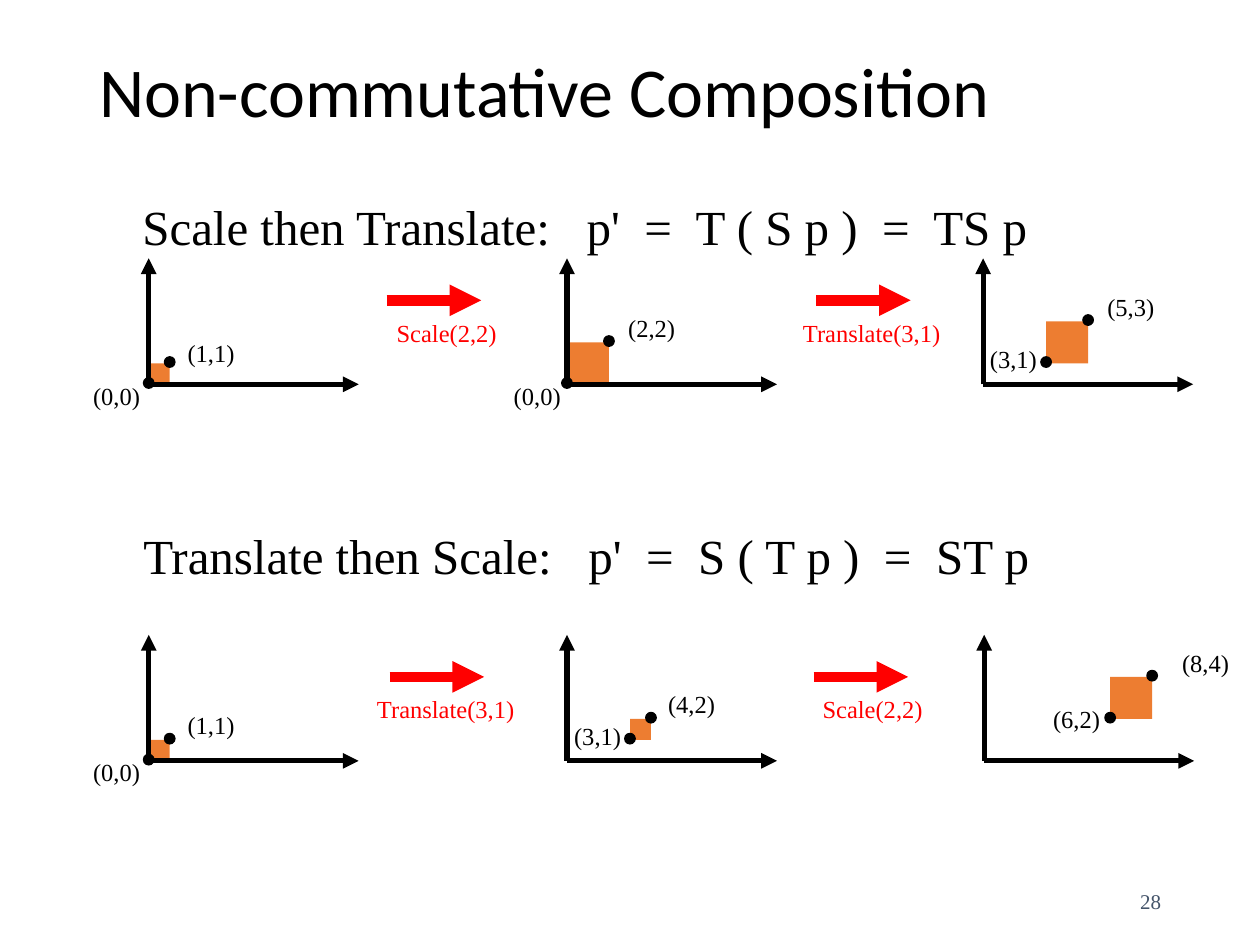
from dataclasses import dataclass

from lxml import etree
from pptx import Presentation
from pptx.dml.color import RGBColor
from pptx.enum.shapes import MSO_CONNECTOR, MSO_SHAPE
from pptx.enum.text import MSO_ANCHOR, PP_ALIGN
from pptx.oxml.ns import qn
from pptx.shapes.base import BaseShape
from pptx.slide import Slide
from pptx.text.text import TextFrame
from pptx.util import Pt

STRAIGHT = MSO_CONNECTOR.STRAIGHT
RECTANGLE, OVAL = MSO_SHAPE.RECTANGLE, MSO_SHAPE.OVAL
TOP, MIDDLE = MSO_ANCHOR.TOP, MSO_ANCHOR.MIDDLE
LEFT, CENTER, RIGHT = PP_ALIGN.LEFT, PP_ALIGN.CENTER, PP_ALIGN.RIGHT


@dataclass(frozen=True)
class Theme:
    ink: RGBColor = RGBColor(0, 0, 0)
    square: RGBColor = RGBColor(0xED, 0x7D, 0x31)
    step: RGBColor = RGBColor(0xFF, 0, 0)
    number: RGBColor = RGBColor(0x44, 0x54, 0x6A)
    title_font: str = "Calibri"
    text_font: str = "Times New Roman"
    title_size: int = 40
    heading_size: int = 28
    label_size: int = 14
    number_size: int = 12


@dataclass(frozen=True)
class Label:
    left: float
    top: float
    width: float = 46.8


@dataclass(frozen=True)
class Plot:
    origin_x: float
    corner: tuple[int, int]
    side: int
    low_label: Label
    high_label: Label


@dataclass(frozen=True)
class Step:
    text: str
    arrow_left: float
    label: Label


@dataclass(frozen=True)
class Row:
    heading: str
    heading_left: float
    heading_top: float
    origin_y: float
    plots: tuple[Plot, ...]
    steps: tuple[Step, ...]


THEME = Theme()
UNIT = 12
DOT = 6
DOT_LIFT = 0.7
AXIS_WIDTH, AXIS_HEIGHT = 120, 72
ARROW_LENGTH, ARROW_RISE = 54, 48
LABEL_HEIGHT, HEADING_HEIGHT, HEADING_WIDTH = 24.3, 41.2, 526

ROWS = (
    Row("Scale then Translate:   p'  =  T ( S p )  =  TS p", 71.2, 108.9, 219.6,
        (Plot(85, (0, 0), 1, Label(43.2, 214), Label(97.2, 189.6)),
         Plot(324, (0, 0), 2, Label(283.6, 214), Label(349, 175.2)),
         Plot(561.8, (3, 1), 2, Label(555.7, 193), Label(622.8, 163.4))),
        (Step("Scale(2,2)", 221, Label(211, 178, 88.6)),
         Step("Translate(3,1)", 466.4, Label(442, 178, 112.3)))),
    Row("Translate then Scale:   p'  =  S ( T p )  =  ST p", 72, 296.6, 434.8,
        (Plot(85, (0, 0), 1, Label(43.2, 429), Label(97.2, 402.2)),
         Plot(324, (3, 1), 1, Label(318.1, 408.5), Label(371.8, 390.2)),
         Plot(562.4, (6, 2), 2, Label(591.8, 398.9), Label(659, 366.6, 59.8))),
        (Step("Translate(3,1)", 222.6, Label(198.6, 393, 112.3)),
         Step("Scale(2,2)", 465, Label(454.4, 393, 88.6)))),
)


def write(frame: TextFrame, text: str, font: str, size: int, color: RGBColor,
          align: PP_ALIGN, anchor: MSO_ANCHOR = TOP) -> None:
    frame.text = text
    frame.word_wrap = True
    frame.vertical_anchor = anchor
    para = frame.paragraphs[0]
    para.alignment = align
    for span in para.runs:
        span.font.name = font
        span.font.size = Pt(size)
        span.font.color.rgb = color


def place(box: BaseShape, left: float, top: float, width: float, height: float) -> None:
    box.left, box.top, box.width, box.height = map(Pt, (left, top, width, height))


def add_text(page: Slide, text: str, area: tuple[float, float, float, float], size: int,
             color: RGBColor, align: PP_ALIGN = CENTER, anchor: MSO_ANCHOR = TOP) -> None:
    box = page.shapes.add_textbox(*map(Pt, area))
    write(box.text_frame, text, THEME.text_font, size, color, align, anchor)


def add_label(page: Slide, text: str, label: Label, color: RGBColor) -> None:
    area = (label.left, label.top, label.width, LABEL_HEIGHT)
    add_text(page, text, area, THEME.label_size, color)


def add_solid(page: Slide, kind: MSO_SHAPE, left: float, top: float, side: float,
              color: RGBColor, outline: float = 0) -> None:
    solid = page.shapes.add_shape(kind, Pt(left), Pt(top), Pt(side), Pt(side))
    solid.shadow.inherit = False
    solid.fill.solid()
    solid.fill.fore_color.rgb = color
    if outline:
        solid.line.color.rgb = color
        solid.line.width = Pt(outline)
    else:
        solid.line.fill.background()


def add_arrow(page: Slide, start: tuple[float, float], end: tuple[float, float],
              width: float, color: RGBColor) -> None:
    arrow = page.shapes.add_connector(STRAIGHT, *map(Pt, (*start, *end)))
    arrow.line.color.rgb = color
    arrow.line.width = Pt(width)
    etree.SubElement(arrow.line._get_or_add_ln(), qn("a:tailEnd"), type="triangle")
    etree.SubElement(arrow._element.spPr, qn("a:effectLst"))


def draw_plot(page: Slide, plot: Plot, origin_y: float) -> None:
    low_x, low_y = plot.corner
    high_x, high_y = low_x + plot.side, low_y + plot.side
    origin = (plot.origin_x, origin_y)
    add_solid(page, RECTANGLE, plot.origin_x + low_x * UNIT, origin_y - high_y * UNIT,
              plot.side * UNIT, THEME.square)
    for end in ((plot.origin_x, origin_y - AXIS_HEIGHT),
                (plot.origin_x + AXIS_WIDTH, origin_y)):
        add_arrow(page, origin, end, 3, THEME.ink)
    for x, y, label in ((low_x, low_y, plot.low_label), (high_x, high_y, plot.high_label)):
        add_solid(page, OVAL, plot.origin_x + x * UNIT - DOT / 2,
                  origin_y - y * UNIT - DOT / 2 - DOT_LIFT, DOT, THEME.ink, 0.75)
        add_label(page, f"({x},{y})", label, THEME.ink)


def draw_step(page: Slide, step: Step, y: float) -> None:
    add_arrow(page, (step.arrow_left, y), (step.arrow_left + ARROW_LENGTH, y), 6, THEME.step)
    add_label(page, step.text, step.label, THEME.step)


def draw_row(page: Slide, row: Row) -> None:
    area = (row.heading_left, row.heading_top, HEADING_WIDTH, HEADING_HEIGHT)
    add_text(page, row.heading, area, THEME.heading_size, THEME.ink)
    for plot in row.plots:
        draw_plot(page, plot, row.origin_y)
    for step in row.steps:
        draw_step(page, step, row.origin_y - ARROW_RISE)


def main() -> None:
    deck = Presentation()
    deck.slide_width, deck.slide_height = Pt(720), Pt(540)
    page = deck.slides.add_slide(deck.slide_layouts[5])
    title = page.shapes.title
    place(title, 49.5, 28.8, 621, 104.4)
    write(title.text_frame, "Non-commutative Composition", THEME.title_font,
          THEME.title_size, THEME.ink, LEFT)
    title.text_frame.paragraphs[0].line_spacing = 0.9
    for row in ROWS:
        draw_row(page, row)
    add_text(page, "28", (508.5, 500.5, 162, 28.8), THEME.number_size, THEME.number,
             RIGHT, MIDDLE)
    deck.save("out.pptx")


if __name__ == "__main__":
    main()
